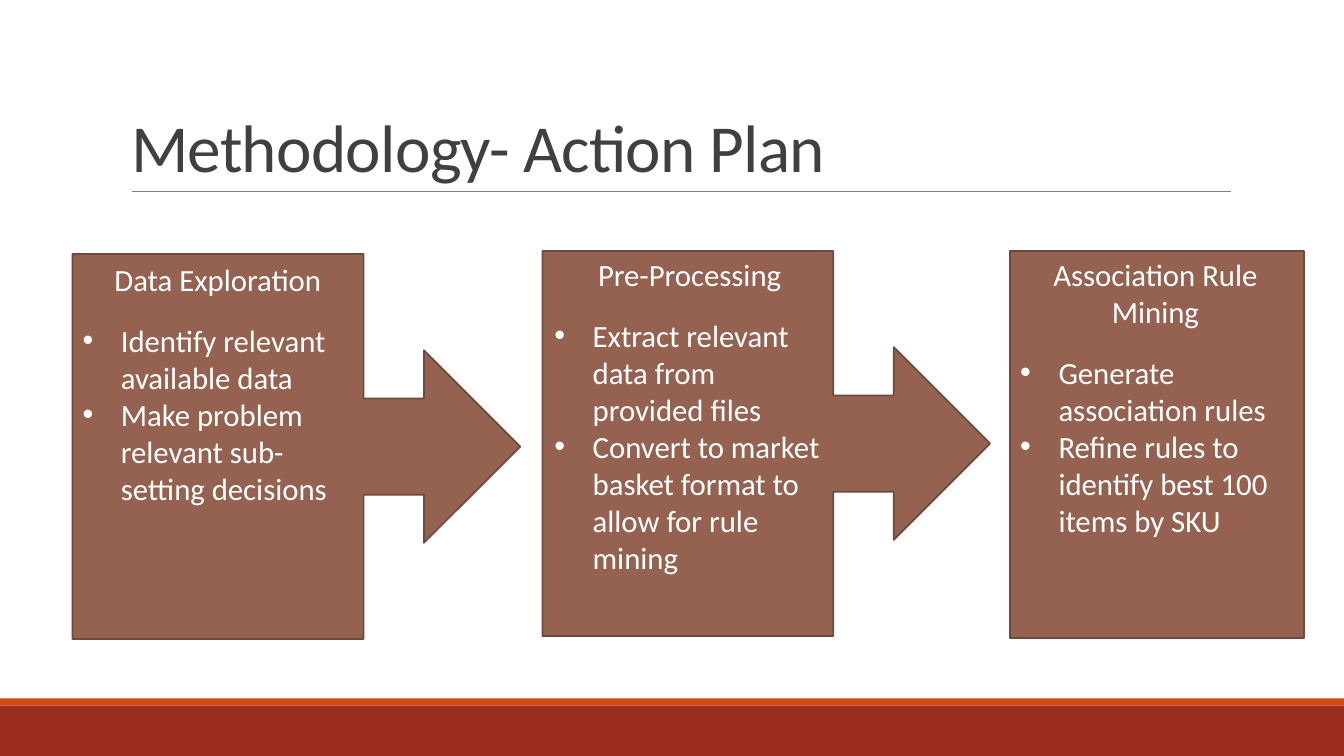
from dataclasses import dataclass

from lxml import etree
from pptx import Presentation
from pptx.dml.color import RGBColor
from pptx.enum.shapes import MSO_CONNECTOR, MSO_SHAPE
from pptx.enum.text import MSO_ANCHOR, MSO_AUTO_SIZE, PP_ALIGN
from pptx.oxml.ns import qn
from pptx.util import Inches, Pt

RECT = MSO_SHAPE.RECTANGLE
CALLOUT = MSO_SHAPE.RIGHT_ARROW_CALLOUT
LEFT, CENTER = PP_ALIGN.LEFT, PP_ALIGN.CENTER
FONT = "Calibri"
WHITE, BROWN, DARK_BROWN = "FFFFFF", "956251", "6E493C"
TEXT_W = 2.88
INDENT = 0.38


@dataclass
class Step:
    heading: str
    bullets: list[str]
    shape: int
    box: tuple[float, float, float, float]
    text_at: tuple[float, float]
    text_h: float


STEPS = [
    Step("Data Exploration",
         ["Identify relevant available data",
          "Make problem relevant sub-setting decisions"],
         CALLOUT, (0.72, 2.52, 4.44, 3.82), (0.72, 2.54), 2.59),
    Step("Pre-Processing",
         ["Extract relevant data from provided files",
          "Convert to market basket format to allow for rule mining"],
         CALLOUT, (5.38, 2.49, 4.44, 3.82), (5.4, 2.49), 3.3),
    Step("Association Rule Mining",
         ["Generate association rules",
          "Refine rules to identify best 100 items by SKU"],
         RECT, (10.02, 2.49, 2.91, 3.84), (10.02, 2.49), 2.93),
]


def rgb(color: str) -> RGBColor:
    return RGBColor.from_string(color)


def add_box(slide, kind: int, box: tuple, fill: str, line: str | None = None):
    s = slide.shapes.add_shape(kind, *map(Inches, box))
    s.shadow.inherit = False
    s.fill.solid()
    s.fill.fore_color.rgb = rgb(fill)
    if line:
        s.line.color.rgb = rgb(line)
        s.line.width = Pt(1.25)
    else:
        s.line.fill.background()
    return s


def write(p, text: str, *, size: float = 22, color: str = WHITE, align=LEFT,
          after: float = 0, spacing: float = 1.0, bullet: bool = False):
    p.alignment = align
    p.space_before, p.space_after = Pt(0), Pt(after)
    p.line_spacing = spacing
    r = p.add_run()
    r.text = text
    r.font.name, r.font.size = FONT, Pt(size)
    r.font.color.rgb = rgb(color)
    if bullet:
        pPr = p._p.get_or_add_pPr()
        pPr.set("marL", str(Inches(INDENT)))
        pPr.set("indent", str(-Inches(INDENT)))
        etree.SubElement(pPr, qn("a:buFont")).set("typeface", "Arial")
        etree.SubElement(pPr, qn("a:buChar")).set("char", "•")
    return r


def add_title(slide, text: str) -> None:
    s = slide.shapes.title
    s.left, s.top, s.width, s.height = map(Inches, (1.2, 0.31, 11, 1.59))
    tf = s.text_frame
    tf.vertical_anchor = MSO_ANCHOR.BOTTOM
    tf.auto_size = MSO_AUTO_SIZE.NONE
    r = write(tf.paragraphs[0], text, size=48, color="404040", spacing=0.85)
    r.font._element.set("spc", "-50")


def add_rule(slide) -> None:
    s = slide.shapes.add_connector(
        MSO_CONNECTOR.STRAIGHT, *map(Inches, (1.31, 1.9, 12.21, 1.9)))
    s.line.color.rgb = rgb("808080")
    s.line.width = Pt(0.5)
    etree.SubElement(s._element.spPr, qn("a:effectLst"))


def add_step_text(slide, step: Step) -> None:
    s = slide.shapes.add_textbox(
        *map(Inches, (*step.text_at, TEXT_W, step.text_h)))
    tf = s.text_frame
    tf.word_wrap = True
    tf.auto_size = MSO_AUTO_SIZE.SHAPE_TO_FIT_TEXT
    write(tf.paragraphs[0], step.heading, align=CENTER, after=17)
    for bullet in step.bullets:
        write(tf.add_paragraph(), bullet, bullet=True)


def main() -> None:
    prs = Presentation()
    prs.slide_width, prs.slide_height = Inches(13.33), Inches(7.5)
    slide = prs.slides.add_slide(prs.slide_layouts.get_by_name("Title Only"))

    # Footer bands
    add_box(slide, RECT, (0, 7, 13.33, 0.5), "9B2D1F")
    add_box(slide, RECT, (0, 6.93, 13.33, 0.07), "D34817")

    # Title and its rule
    add_title(slide, "Methodology- Action Plan")
    add_rule(slide)

    # Process steps
    for step in STEPS:
        add_box(slide, step.shape, step.box, BROWN, DARK_BROWN)
    for step in STEPS:
        add_step_text(slide, step)

    prs.save("out.pptx")


if __name__ == "__main__":
    main()
